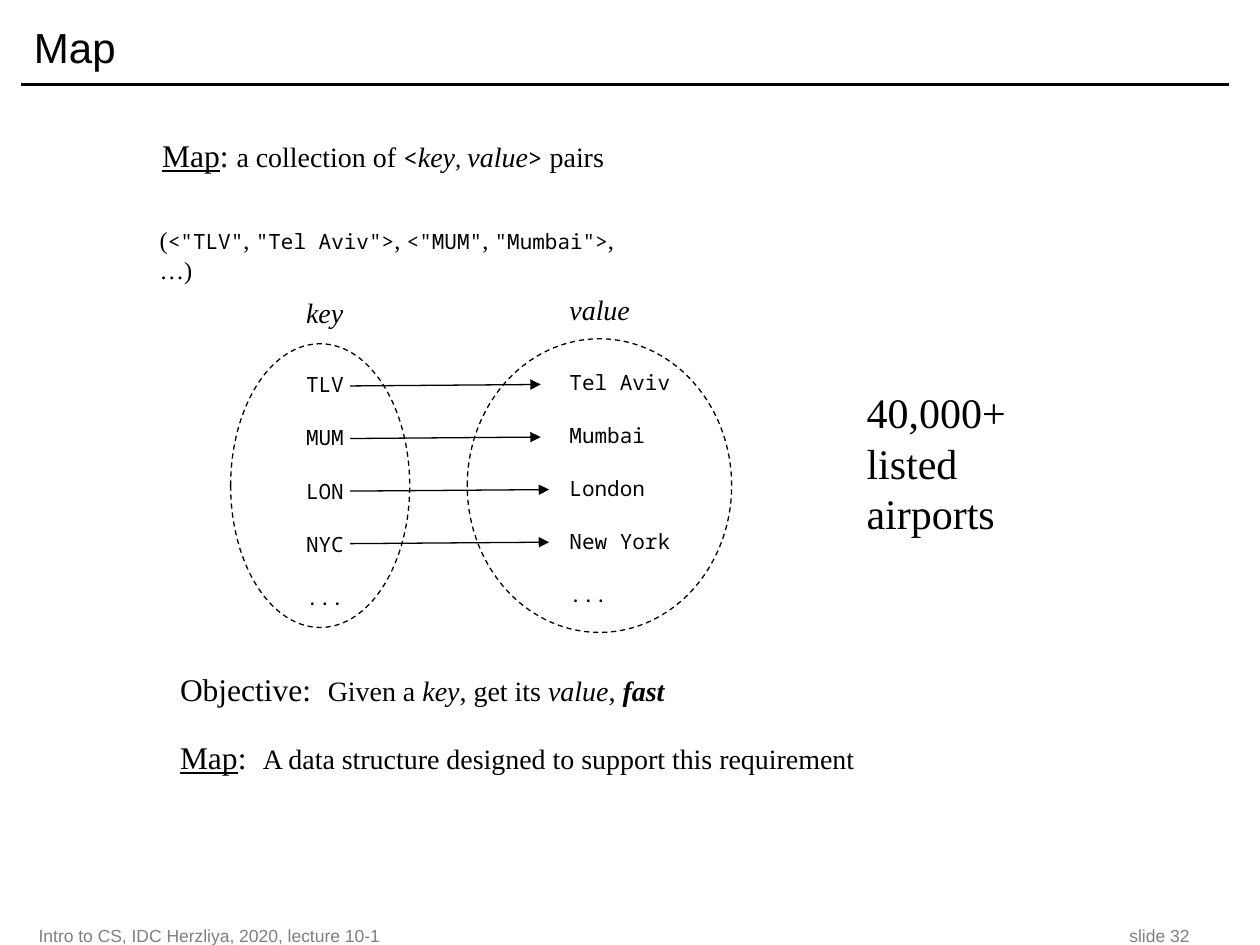
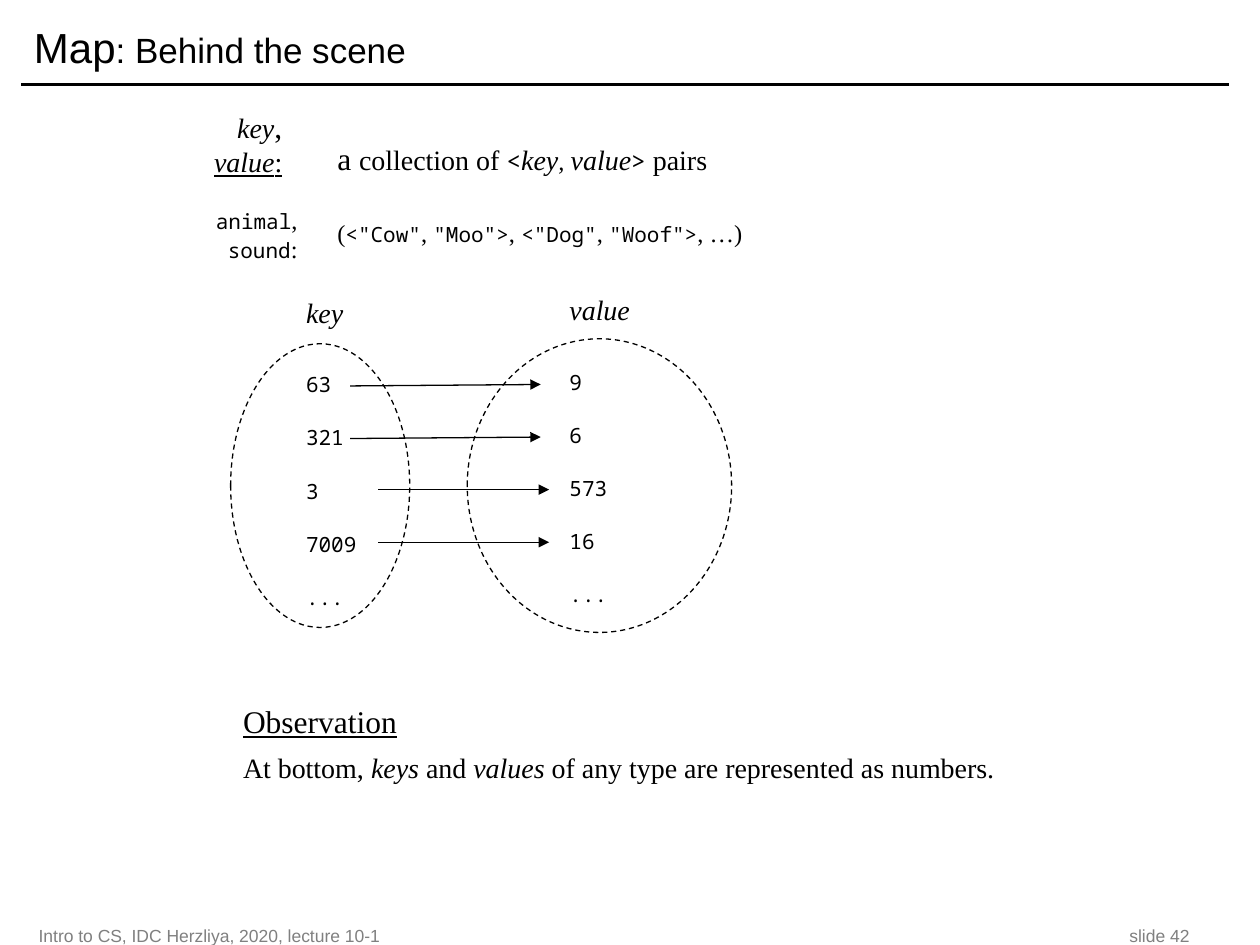
"""Build two lecture slides that explain the map data structure."""
from dataclasses import dataclass

from lxml import etree
from pptx import Presentation
from pptx.dml.color import RGBColor
from pptx.enum.dml import MSO_LINE
from pptx.enum.shapes import MSO_CONNECTOR, MSO_SHAPE
from pptx.enum.text import MSO_ANCHOR, MSO_AUTO_SIZE, PP_ALIGN
from pptx.oxml.ns import qn
from pptx.util import Cm, Pt

DASH = MSO_LINE.DASH
STRAIGHT = MSO_CONNECTOR.STRAIGHT
OVAL = MSO_SHAPE.OVAL
TOP, MIDDLE = MSO_ANCHOR.TOP, MSO_ANCHOR.MIDDLE
LEFT, RIGHT = PP_ALIGN.LEFT, PP_ALIGN.RIGHT
FIXED_SIZE = MSO_AUTO_SIZE.NONE
TITLE_ONLY = 5


@dataclass(frozen=True)
class Theme:
    """Colours, fonts and type sizes of the deck."""
    ink: RGBColor = RGBColor(0, 0, 0)
    muted: RGBColor = RGBColor(0x80, 0x80, 0x80)
    sans: str = "Arial"
    serif: str = "Times New Roman"
    mono: str = "Noto Sans Mono"
    title: int = 24
    subtitle: int = 20
    lead: int = 18
    body: int = 16
    example: int = 14
    code: int = 12
    footer: int = 10
    rule: float = 2
    outline: float = 0.75


THEME = Theme()


@dataclass(frozen=True)
class Span:
    """One run of text with its look."""
    text: str
    size: int = THEME.body
    font: str = THEME.serif
    color: RGBColor = THEME.ink
    italic: bool = False
    bold: bool = False
    underline: bool = False


def term(text):
    """Return an italic term in body size."""
    return Span(text, italic=True)


def code(text, size=THEME.code):
    """Return a monospaced span."""
    return Span(text, size, THEME.mono)


def example(text):
    """Return serif text as used around code examples."""
    return Span(text, THEME.example)


def key_value_pairs():
    """Return the spans that read <key, value> pairs."""
    return [code("<", THEME.example), term("key"),
            Span(", ", THEME.example, italic=True), term("value"),
            code(">", THEME.example), Span(" pairs")]


def pair_list(pairs):
    """Return the spans of a parenthesised list of quoted pairs."""
    spans = [example("(")]
    for key, value in pairs:
        spans += [code(f'<"{key}"'), example(", "), code(f'"{value}">'), example(", ")]
    return spans + [example("…)")]


def add_spans(para, spans):
    """Add formatted runs to a paragraph."""
    for span in spans:
        run = para.add_run()
        run.text = span.text
        font = run.font
        font.name, font.size = span.font, Pt(span.size)
        font.color.rgb = span.color
        font.italic, font.bold, font.underline = span.italic, span.bold, span.underline


def add_tab(para, position, side):
    """Give a paragraph one tab stop."""
    stops = etree.SubElement(para._p.get_or_add_pPr(), qn("a:tabLst"))
    etree.SubElement(stops, qn("a:tab"), pos=str(Cm(position)), algn=side)


def add_text(page, place, paragraphs, align=LEFT, anchor=TOP, gap=0, tab=None):
    """Add a wrapped text box with one list of spans per paragraph."""
    box = page.shapes.add_textbox(*map(Cm, place))
    frame = box.text_frame
    frame.word_wrap = True
    frame.vertical_anchor = anchor
    for index, spans in enumerate(paragraphs):
        para = frame.paragraphs[0] if index == 0 else frame.add_paragraph()
        para.alignment = align
        para.space_before = Pt(gap if index else 0)
        if tab:
            add_tab(para, *tab)
        add_spans(para, spans)


def add_line(page, start, end, weight, arrow=False):
    """Add a straight line, with an arrowhead at its end if asked."""
    line = page.shapes.add_connector(STRAIGHT, *map(Cm, (*start, *end)))
    line.line.color.rgb = THEME.ink
    line.line.width = Pt(weight)
    if arrow:
        etree.SubElement(line.line._get_or_add_ln(), qn("a:tailEnd"), type="triangle")
    etree.SubElement(line._element.spPr, qn("a:effectLst"))


def add_set_outline(page, place):
    """Add the dashed ellipse around a set."""
    ellipse = page.shapes.add_shape(OVAL, *map(Cm, place))
    ellipse.shadow.inherit = False
    ellipse.fill.background()
    ellipse.line.color.rgb = THEME.ink
    ellipse.line.width = Pt(THEME.outline)
    ellipse.line.dash_style = DASH


def add_page(deck, number, title_spans):
    """Add a slide with its title, rule and footer."""
    page = deck.slides.add_slide(deck.slide_layouts[TITLE_ONLY])
    add_line(page, (0.43, 1.7), (24.77, 1.7), THEME.rule)
    title = page.shapes.title
    title.left, title.top, title.width, title.height = map(Cm, (0.43, 0.2, 24.33, 1.47))
    frame = title.text_frame
    frame.auto_size = FIXED_SIZE
    frame.word_wrap = True
    frame.vertical_anchor = MIDDLE
    frame.paragraphs[0].alignment = LEFT
    add_spans(frame.paragraphs[0], title_spans)
    footer = f"Intro to CS, IDC Herzliya, 2020, lecture 10-1\tslide {number}"
    add_text(page, (0.53, 18.57, 24.13, 0.56),
             [[Span(footer, THEME.footer, THEME.sans, THEME.muted)]],
             anchor=MIDDLE, tab=(23.2, "r"))
    return page


def add_mapping(page, keys, values, arrow_starts, key_width):
    """Add the key and value sets with an arrow for each pair."""
    columns = (("key", keys, 5.92, 7.37, key_width, 5.84),
               ("value", values, 11.23, 7.32, 3.28, 5.77))
    for name, items, left, top, width, name_top in columns:
        add_text(page, (left, top, width, 5.26),
                 [[code(item)] for item in (*items, "...")], gap=16)
        add_text(page, (left, name_top, 2.8, 0.94), [[term(name)]])
    add_set_outline(page, (4.65, 6.93, 3.61, 5.72))
    add_set_outline(page, (9.42, 6.83, 5.33, 5.92))
    for row, (start, drop) in enumerate(arrow_starts):
        height = 7.75 + 1.06 * row
        end = 10.9 if row < 2 else 11.07
        add_line(page, (start, height + drop), (end, height), THEME.outline, arrow=True)


def add_map_page(deck):
    """Add the slide that defines a map."""
    page = add_page(deck, 32, [Span("Map", THEME.title, THEME.sans)])
    map_word = Span("Map", THEME.lead, underline=True)
    add_text(page, (2.97, 4.42, 10.16, 1.24),
             [pair_list([("TLV", "Tel Aviv"), ("MUM", "Mumbai")])])
    add_text(page, (3.02, 2.62, 12.5, 0.97),
             [[map_word, Span(": ", THEME.lead), Span("a collection of "),
               *key_value_pairs()]])
    add_text(page, (17.22, 7.67, 3.94, 3.68),
             [[Span("40,000+ listed airports", THEME.title)]])
    add_text(page, (3.38, 13.39, 13.84, 1.14),
             [[Span("Objective:\t", THEME.lead), Span("Given a "), term("key"),
               Span(", get its "), term("value"), Span(", "),
               Span("fast", italic=True, bold=True)]], tab=(2.98, "l"))
    add_text(page, (3.38, 14.76, 16.71, 1.14),
             [[map_word, Span(":\t", THEME.lead),
               Span("A data structure designed to support this requirement")]],
             tab=(1.67, "l"))
    add_mapping(page, ("TLV", "MUM", "LON", "NYC"),
                ("Tel Aviv", "Mumbai", "London", "New York"),
                [(7.06, 0.03)] * 4, 1.9)


def add_scene_page(deck):
    """Add the slide that shows keys and values as numbers."""
    page = add_page(deck, 42, [Span("Map", THEME.title, THEME.sans),
                               Span(": Behind the scene", THEME.subtitle, THEME.sans)])
    add_text(page, (6.55, 4.27, 10.16, 1.24),
             [pair_list([("Cow", "Moo"), ("Dog", "Woof")])])
    add_text(page, (0.74, 4.01, 5.51, 1.47),
             [[code("animal"), example(",")], [code("sound"), example(":")]], RIGHT)
    add_text(page, (4.65, 13.39, 18.64, 3.18),
             [[Span("Observation", THEME.lead, underline=True)],
              [Span("At bottom, "), term("keys"), Span(" and "), term("values"),
               Span(" of any type are represented as numbers.")]],
             anchor=MIDDLE, gap=6)
    add_text(page, (0.43, 2.03, 5.51, 1.96),
             [[term("key"), Span(",", THEME.lead)],
              [Span("value", italic=True, underline=True), Span(":", underline=True)]],
             RIGHT)
    add_text(page, (6.55, 2.67, 12.5, 0.97),
             [[Span("a ", THEME.lead), Span("collection of "), *key_value_pairs()]])
    add_mapping(page, ("63", "321", "3", "7009"), ("9", "6", "573", "16"),
                [(7.06, 0.03)] * 2 + [(7.62, 0)] * 2, 2.46)


def main():
    """Build the deck and save it."""
    deck = Presentation()
    deck.slide_width, deck.slide_height = Cm(25.4), Cm(19.05)
    add_map_page(deck)
    add_scene_page(deck)
    deck.save("out.pptx")


if __name__ == "__main__":
    main()
